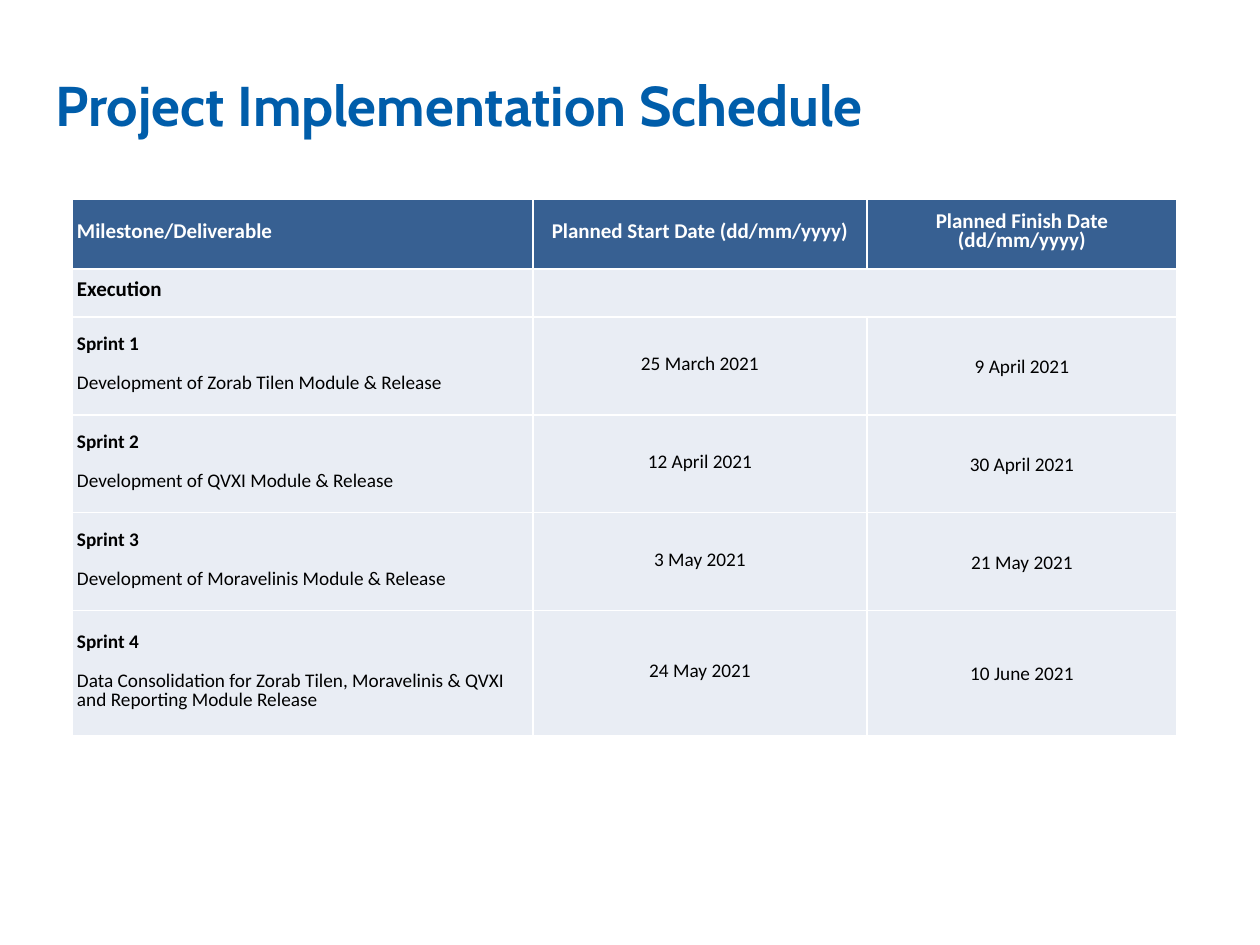
from pptx import Presentation
from pptx.dml.color import RGBColor
from pptx.enum.text import MSO_ANCHOR as Anchor, PP_ALIGN as Align
from pptx.oxml import parse_xml
from pptx.oxml.ns import nsdecls
from pptx.util import Pt

TITLE = "Project Implementation Schedule"
HEADS = ["Milestone/Deliverable", "Planned Start Date (dd/mm/yyyy)",
         "Planned Finish Date (dd/mm/yyyy)"]
PHASE = "Execution"
SPRINTS = [
    ("Sprint 1", "Development of Zorab Tilen Module & Release",
     "25 March 2021", "9 April 2021"),
    ("Sprint 2", "Development of QVXI Module & Release",
     "12 April 2021", "30 April 2021"),
    ("Sprint 3", "Development of Moravelinis Module & Release",
     "3 May 2021", "21 May 2021"),
    ("Sprint 4", "Data Consolidation for Zorab Tilen, Moravelinis & QVXI and "
     "Reporting Module Release", "24 May 2021", "10 June 2021"),
]
COLS = [461, 334, 310]
ROWS = [70, 46, 98, 98, 98, 125]
BLUE, NAVY, PALE, WHITE, BLACK = "005DAA", "376092", "E9EDF4", "FFFFFF", "000000"


def px(n):
    return round(n * 914400 / 126)


def color(code):
    return RGBColor.from_string(code)


def style(para, text, size, ink, bold=False, face="Calibri"):
    para.text = text
    font = para.font
    font.name, font.size, font.bold = face, Pt(size), bold
    font.color.rgb = color(ink)


def fill(cell, code):
    """Set the fill, margins, anchor and white borders of a cell."""
    cell.margin_left = cell.margin_right = px(5)
    cell.margin_top = cell.margin_bottom = px(5)
    cell.vertical_anchor = Anchor.MIDDLE
    props = cell._tc.get_or_add_tcPr()
    for side in ("lnL", "lnR", "lnT", "lnB"):
        props.append(parse_xml(
            f'<a:{side} w="{Pt(1)}" {nsdecls("a")}><a:solidFill>'
            f'<a:srgbClr val="{WHITE}"/></a:solidFill></a:{side}>'))
    cell.fill.solid()
    cell.fill.fore_color.rgb = color(code)


def write(cell, text, size, ink, bold=False, align=Align.LEFT):
    para = cell.text_frame.paragraphs[0]
    style(para, text, size, ink, bold)
    para.alignment = align
    para.line_spacing = Pt(11)
    return para


deck = Presentation()
deck.slide_width, deck.slide_height = px(1260), px(945)
slide = deck.slides.add_slide(deck.slide_layouts[6])

# Title
box = slide.shapes.add_textbox(px(43), px(25), px(1134), px(158))
frame = box.text_frame
frame.word_wrap = True
frame.vertical_anchor = Anchor.MIDDLE
style(frame.paragraphs[0], TITLE, 32, BLUE, True, "Cabin")

# Table grid
grid = slide.shapes.add_table(len(ROWS), len(COLS), px(72), px(199),
                              px(sum(COLS)), px(sum(ROWS))).table
for col, wide in zip(grid.columns, COLS):
    col.width = px(wide)
for row, high in zip(grid.rows, ROWS):
    row.height = px(high)
for r in range(len(ROWS)):
    for c in range(len(COLS)):
        fill(grid.cell(r, c), PALE if r else NAVY)

# Header and phase rows
for c, head in enumerate(HEADS):
    write(grid.cell(0, c), head, 12, WHITE, True,
          Align.CENTER if c else Align.LEFT)
write(grid.cell(1, 0), PHASE, 12, BLACK, True)
grid.cell(1, 1).merge(grid.cell(1, 2))

# Sprint rows
for r, (name, task, start, end) in enumerate(SPRINTS, 2):
    cell = grid.cell(r, 0)
    write(cell, name, 11, BLACK, True).space_after = Pt(11)
    para = cell.text_frame.add_paragraph()
    style(para, task, 11, BLACK)
    para.line_spacing = Pt(11)
    write(grid.cell(r, 1), start, 11, BLACK, align=Align.CENTER)
    para = write(grid.cell(r, 2), end, 11, BLACK, align=Align.CENTER)
    para.line_spacing = 1.07
    para.space_after = Pt(8)

deck.save("out.pptx")
